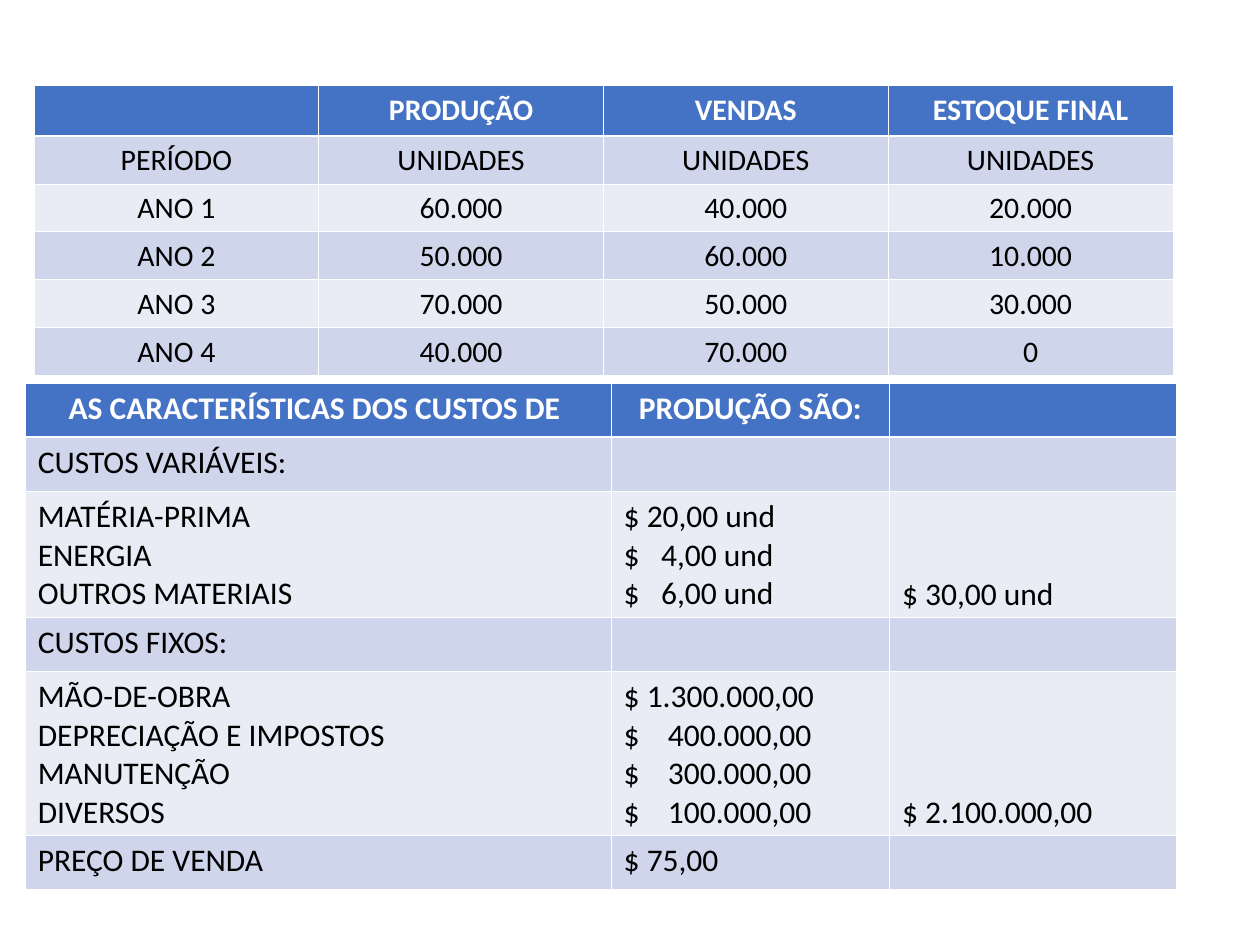
from lxml.etree import SubElement
from pptx import Presentation
from pptx.dml.color import RGBColor
from pptx.enum.text import MSO_ANCHOR, PP_ALIGN
from pptx.oxml.ns import qn
from pptx.util import Inches, Pt

COLORS = {
    "head": "4472C4",
    "dark": "CFD5EA",
    "light": "E9EBF5",
    "white": "FFFFFF",
    "black": "000000",
}

UNITS = [
    ["", "PRODUÇÃO", "VENDAS", "ESTOQUE FINAL"],
    ["PERÍODO", "UNIDADES", "UNIDADES", "UNIDADES"],
    ["ANO 1", "60.000", "40.000", "20.000"],
    ["ANO 2", "50.000", "60.000", "10.000"],
    ["ANO 3", "70.000", "50.000", "30.000"],
    ["ANO 4", "40.000", "70.000", "0"],
]

COSTS = [
    ["AS CARACTERÍSTICAS DOS CUSTOS DE ", "PRODUÇÃO SÃO:", ""],
    ["CUSTOS VARIÁVEIS:", "", ""],
    [
        "MATÉRIA-PRIMA\nENERGIA\nOUTROS MATERIAIS",
        "$ 20,00 und\n$\t4,00 und\n$\t6,00 und",
        "$ 30,00 und",
    ],
    ["CUSTOS FIXOS:", "", ""],
    [
        "MÃO-DE-OBRA\nDEPRECIAÇÃO E IMPOSTOS\nMANUTENÇÃO\nDIVERSOS",
        "$ 1.300.000,00\n$\t400.000,00\n$\t300.000,00\n$\t100.000,00",
        "$ 2.100.000,00",
    ],
    ["PREÇO DE VENDA", "$ 75,00", ""],
]


def tint(name):
    return RGBColor.from_string(COLORS[name])


def add_tab(par, place):
    tabs = SubElement(par._p.get_or_add_pPr(), qn("a:tabLst"))
    SubElement(tabs, qn("a:tab"), pos=str(Inches(place)), algn="r")


def write(frame, text, size, color="black", bold=False, align=PP_ALIGN.LEFT, tab=None):
    for index, line in enumerate(text.split("\n")):
        par = frame.paragraphs[0] if index == 0 else frame.add_paragraph()
        par.alignment = align
        if "\t" in line:
            add_tab(par, tab)
        run = par.add_run()
        run.text = line
        run.font.name = "Calibri"
        run.font.size = Pt(size)
        run.font.bold = bold
        run.font.color.rgb = tint(color)


def edge(cell, row):
    widths = {
        "L": 0.45,
        "R": 0.45,
        "T": 1.47 if row == 1 else 0.45,
        "B": 1.47 if row == 0 else 0.45,
    }
    props = cell._tc.get_or_add_tcPr()
    for side, width in widths.items():
        line = SubElement(props, qn(f"a:ln{side}"), w=str(Pt(width)))
        fill = SubElement(line, qn("a:solidFill"))
        SubElement(fill, qn("a:srgbClr"), val=COLORS["white"])


def style(cell, row):
    edge(cell, row)
    cell.fill.solid()
    cell.fill.fore_color.rgb = tint("head" if row == 0 else "dark" if row % 2 else "light")
    cell.margin_left = cell.margin_right = Inches(0.1)
    cell.margin_top = Inches(0.05)
    cell.margin_bottom = Inches(0.03)


def add_grid(slide, data, left, top, cols, rows, size, align, tabs=None):
    shape = slide.shapes.add_table(
        len(rows), len(cols), Inches(left), Inches(top), Inches(sum(cols)), Inches(sum(rows))
    )
    table = shape.table
    for col, width in zip(table.columns, cols):
        col.width = Inches(width)
    for row, height in zip(table.rows, rows):
        row.height = Inches(height)
    for r, texts in enumerate(data):
        lines = max(text.count("\n") for text in texts)
        for c, text in enumerate(texts):
            cell = table.cell(r, c)
            style(cell, r)
            if lines and "\n" not in text:
                cell.vertical_anchor = MSO_ANCHOR.BOTTOM
            if text:
                write(
                    cell.text_frame,
                    text,
                    size,
                    color="white" if r == 0 else "black",
                    bold=r == 0,
                    align=PP_ALIGN.CENTER if r == 0 else align,
                    tab=(tabs or {}).get(r),
                )


def main():
    deck = Presentation()
    deck.slide_width = Inches(10)
    deck.slide_height = Inches(7.5)
    slide = deck.slides.add_slide(deck.slide_layouts[6])
    add_grid(slide, UNITS, 0.27, 0.68, [2.26] * 4, [0.4] + [0.38] * 5, 17, PP_ALIGN.CENTER)
    add_grid(
        slide,
        COSTS,
        0.2,
        3.04,
        [4.65, 2.21, 2.28],
        [0.43, 0.43, 1, 0.43, 1.3, 0.43],
        18,
        PP_ALIGN.LEFT,
        tabs={2: 1.19, 4: 1.49},
    )
    deck.save("out.pptx")


if __name__ == "__main__":
    main()
